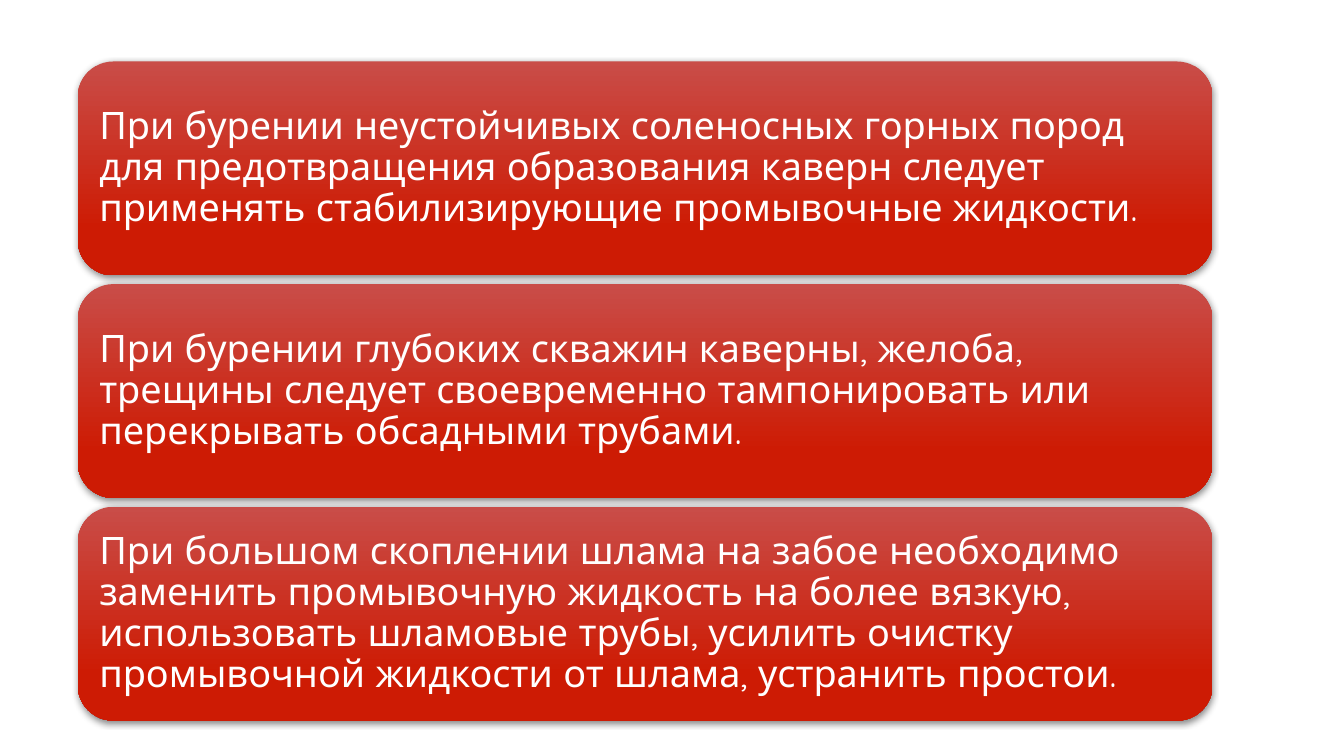
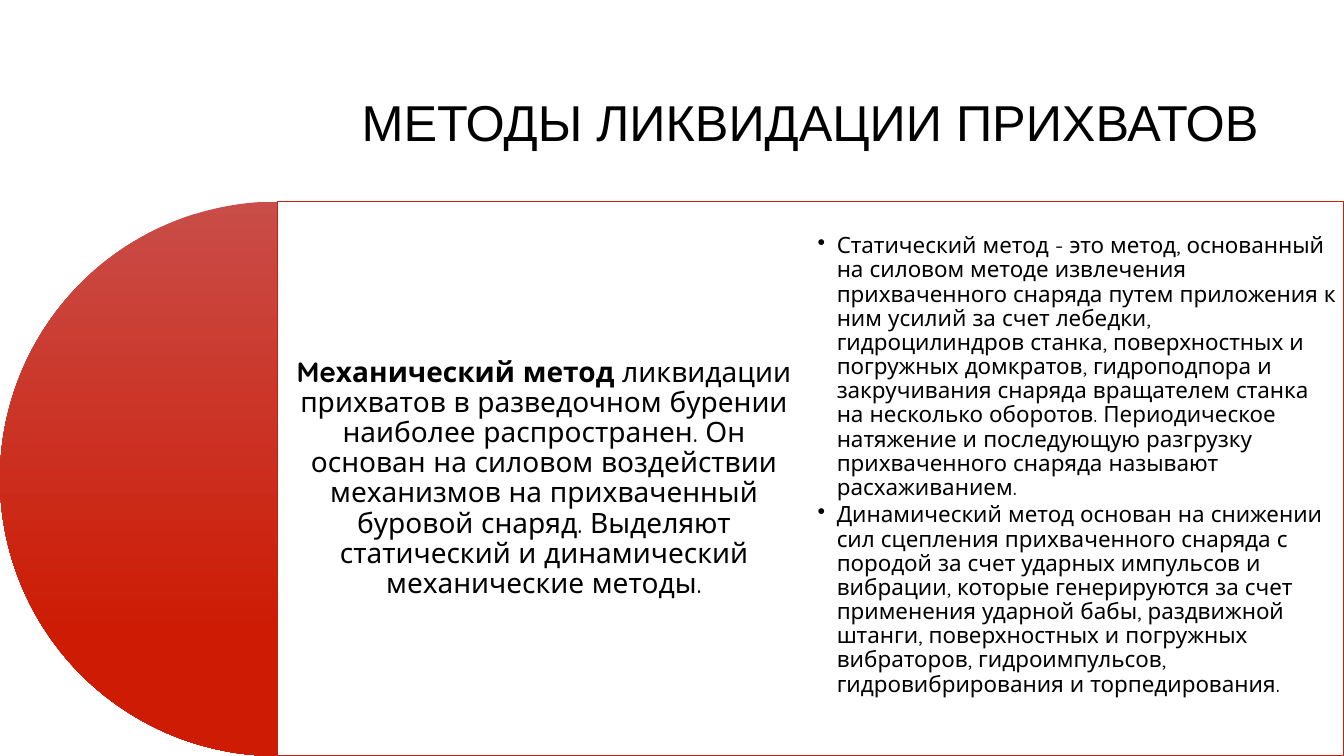
from dataclasses import dataclass

from lxml import etree
from pptx import Presentation
from pptx.dml.color import RGBColor
from pptx.enum.shapes import MSO_SHAPE
from pptx.enum.text import MSO_ANCHOR, PP_ALIGN
from pptx.oxml.ns import qn
from pptx.util import Cm, Pt

ROUNDED = MSO_SHAPE.ROUNDED_RECTANGLE
RECTANGLE = MSO_SHAPE.RECTANGLE
PIE = MSO_SHAPE.PIE
MIDDLE = MSO_ANCHOR.MIDDLE
LEFT, CENTER, RIGHT = PP_ALIGN.LEFT, PP_ALIGN.CENTER, PP_ALIGN.RIGHT


@dataclass(frozen=True)
class Theme:
    red_light: RGBColor = RGBColor(0xC9, 0x4D, 0x48)
    red: RGBColor = RGBColor(0xCD, 0x1B, 0x04)
    outline: RGBColor = RGBColor(0xC4, 0x22, 0x0D)
    white: RGBColor = RGBColor(0xFF, 0xFF, 0xFF)
    black: RGBColor = RGBColor(0x00, 0x00, 0x00)
    title_font: str = "Arial"
    body_font: str = "Quicksand"
    title_size: int = 36
    card_size: int = 27
    lead_size: int = 20
    bullet_size: int = 16
    line_spacing: float = 0.9


THEME = Theme()
SLIDE_W, SLIDE_H = 33.87, 19.05

MEASURES = [
    "При бурении неустойчивых соленосных горных пород для предотвращения "
    "образования каверн следует применять стабилизирующие промывочные жидкости.",
    "При бурении глубоких скважин каверны, желоба, трещины следует "
    "своевременно тампонировать или перекрывать обсадными трубами.",
    "При большом скоплении шлама на забое необходимо заменить промывочную "
    "жидкость на более вязкую, использовать шламовые трубы, усилить очистку "
    "промывочной жидкости от шлама, устранить простои.",
]
TITLE = "МЕТОДЫ ЛИКВИДАЦИИ ПРИХВАТОВ"
LEAD_TERM = "Meханический метод"
LEAD_TEXT = (
    " ликвидации прихватов в разведочном бурении наиболее распространен. "
    "Он основан на силовом воздействии механизмов на прихваченный буровой "
    "снаряд. Выделяют статический и динамический механические методы."
)
METHODS = [
    "Статический метод - это метод, основанный на силовом методе извлечения "
    "прихваченного снаряда путем приложения к ним усилий за счет лебедки, "
    "гидроцилиндров станка, поверхностных и погружных домкратов, гидроподпора "
    "и закручивания снаряда вращателем станка на несколько оборотов. "
    "Периодическое натяжение и последующую разгрузку прихваченного снаряда "
    "называют расхаживанием.",
    "Динамический метод основан на снижении сил сцепления прихваченного "
    "снаряда с породой за счет ударных импульсов и вибрации, которые "
    "генерируются за счет применения ударной бабы, раздвижной штанги, "
    "поверхностных и погружных вибраторов, гидроимпульсов, "
    "гидровибрирования и торпедирования.",
]


def add_blank_slide(prs):
    return prs.slides.add_slide(prs.slide_layouts[6])


def add_shape(slide, kind, box):
    sp = slide.shapes.add_shape(kind, *map(Cm, box))
    sp.shadow.inherit = False
    sp.line.fill.background()
    return sp


def add_red_shape(slide, kind, box):
    sp = add_shape(slide, kind, box)
    sp.fill.gradient()
    sp.fill.gradient_angle = 270
    stops = ((0, THEME.red_light), (0.78, THEME.red))
    for stop, (position, color) in zip(sp.fill.gradient_stops, stops):
        stop.position = position
        stop.color.rgb = color
    return sp


def add_alpha(color_element, percent):
    etree.SubElement(color_element, qn("a:alpha"), val=str(percent * 1000))


def add_soft_shadow(sp):
    effects = sp._element.spPr.find(qn("a:effectLst"))
    shadow = etree.SubElement(
        effects, qn("a:outerShdw"), blurRad=str(Pt(4.5)), dist=str(Pt(1.5)),
        dir="5400000", rotWithShape="0",
    )
    add_alpha(etree.SubElement(shadow, qn("a:srgbClr"), val=str(THEME.black)), 48)


def set_frame(sp, inset, bottom=None):
    tf = sp.text_frame
    tf.word_wrap = True
    tf.vertical_anchor = MIDDLE
    tf.margin_left = tf.margin_right = tf.margin_top = Cm(inset)
    tf.margin_bottom = Cm(inset if bottom is None else bottom)
    return tf


def add_text_box(slide, box, inset, bottom=None):
    return set_frame(slide.shapes.add_textbox(*map(Cm, box)), inset, bottom)


def style_paragraph(p, size, color=THEME.black, font=THEME.body_font, align=LEFT):
    p.alignment = align
    p.line_spacing = THEME.line_spacing
    p.font.name = font
    p.font.size = Pt(size)
    p.font.color.rgb = color


def add_bullets(tf, items, indent):
    for i, item in enumerate(items):
        p = tf.add_paragraph() if i else tf.paragraphs[0]
        p.text = item
        style_paragraph(p, THEME.bullet_size)
        p.space_after = Pt(2.4)
        pPr = p._p.get_or_add_pPr()
        pPr.set("marL", str(Cm(indent)))
        pPr.set("indent", str(-Cm(indent)))
        bullet = etree.Element(qn("a:buChar"), char="•")
        pPr.insert_element_before(bullet, "a:tabLst", "a:defRPr", "a:extLst")


def add_title(slide, text):
    tf = add_text_box(slide, (8.05, 2.13, 23.93, 3.58), inset=0.25, bottom=1.8)
    p = tf.paragraphs[0]
    p.text = text
    style_paragraph(p, THEME.title_size, font=THEME.title_font, align=RIGHT)


def add_card(slide, box, text):
    sp = add_red_shape(slide, ROUNDED, box)
    add_soft_shadow(sp)
    p = set_frame(sp, inset=0.28).paragraphs[0]
    p.text = text
    style_paragraph(p, THEME.card_size, THEME.white)


def add_panel(slide, box):
    sp = add_shape(slide, RECTANGLE, box)
    sp.fill.solid()
    sp.fill.fore_color.rgb = THEME.white
    add_alpha(sp._element.spPr.find(f".//{qn('a:srgbClr')}"), 90)
    sp.line.color.rgb = THEME.outline
    sp.line.width = Pt(0.75)


def add_lead(tf, term, text):
    p = tf.paragraphs[0]
    style_paragraph(p, THEME.lead_size, align=CENTER)
    r = p.add_run()
    r.text = term
    r.font.bold = True
    p.add_run().text = text


def build_measures(prs):
    slide = add_blank_slide(prs)
    left, top, width, height, gap = 1.96, 1.55, 28.6, 5.39, 0.22
    for i, text in enumerate(MEASURES):
        add_card(slide, (left, top + i * (height + gap), width, height), text)


def build_methods(prs):
    slide = add_blank_slide(prs)
    add_title(slide, TITLE)
    top = 5.08
    diameter = SLIDE_H - top
    left = diameter / 2
    column = (SLIDE_W - left) / 2
    disc = add_red_shape(slide, PIE, (0, top, diameter, diameter))
    disc.adjustments[0] = 54
    disc.adjustments[1] = 162
    add_panel(slide, (left, top, 2 * column, diameter))
    lead = add_text_box(slide, (left, top, column, diameter), inset=0.2)
    add_lead(lead, LEAD_TERM, LEAD_TEXT)
    methods = add_text_box(
        slide, (left + column, top, column, diameter), inset=0.18, bottom=0.84
    )
    add_bullets(methods, METHODS, indent=0.48)


def main():
    prs = Presentation()
    prs.slide_width, prs.slide_height = Cm(SLIDE_W), Cm(SLIDE_H)
    build_measures(prs)
    build_methods(prs)
    prs.save("out.pptx")


if __name__ == "__main__":
    main()
